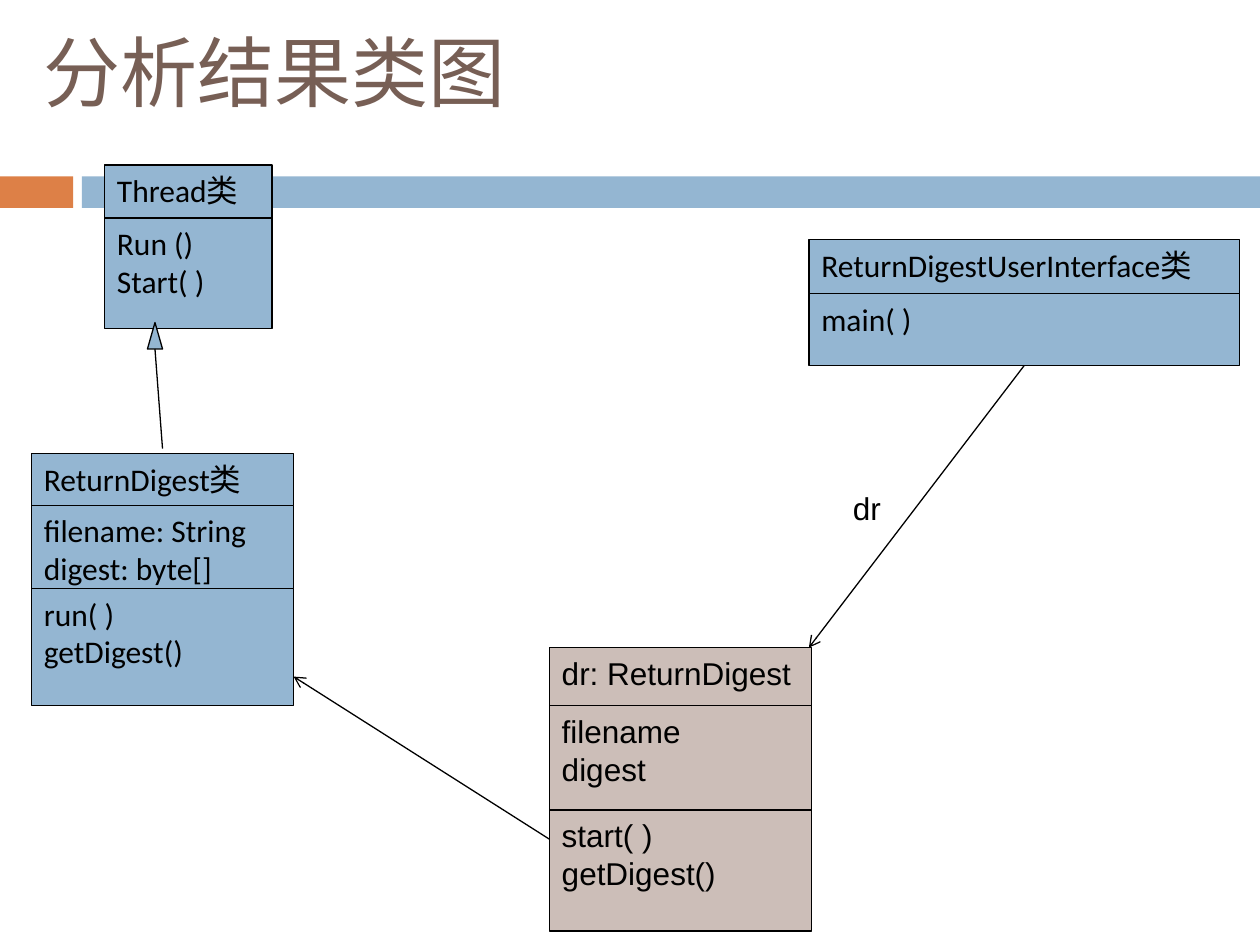
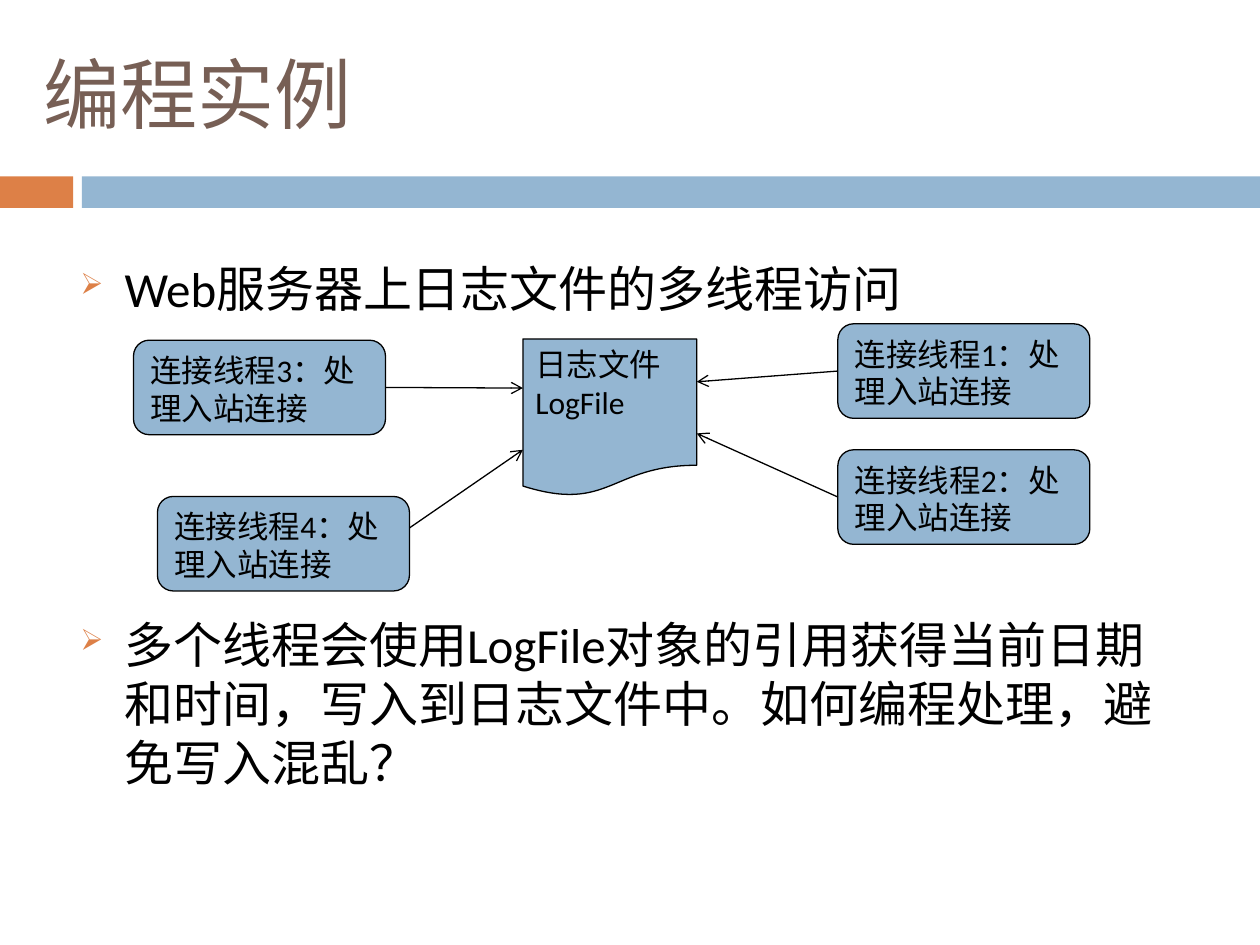
"""Build two slides: a class diagram and a multithreaded log file example."""
from dataclasses import dataclass

from lxml.etree import SubElement
from pptx import Presentation
from pptx.dml.color import RGBColor
from pptx.enum.shapes import MSO_CONNECTOR as Connector, MSO_SHAPE as Shape
from pptx.enum.text import MSO_ANCHOR as Anchor, PP_ALIGN as Align
from pptx.oxml.ns import qn
from pptx.util import Inches, Pt


@dataclass(frozen=True)
class Theme:
    blue: str = "94B6D2"
    orange: str = "DD8047"
    taupe: str = "CCBEB8"
    brown: str = "775F55"
    black: str = "000000"
    font: str = "Calibri"
    object_font: str = "Arial"
    title_size: int = 44
    body_size: int = 28
    label_size: int = 18
    line_width: float = 0.75


theme = Theme()


def place(shapes, kind, bounds, lines=(), fill=None, outlined=True,
          font=theme.font, size=theme.label_size, color=theme.black):
    bounds = [Inches(length) for length in bounds]
    if kind is None:
        box = shapes.add_textbox(*bounds)
    else:
        box = shapes.add_shape(kind, *bounds)
        box.shadow.inherit = False
        box.fill.solid()
        box.fill.fore_color.rgb = RGBColor.from_string(fill)
        if outlined:
            box.line.color.rgb = RGBColor.from_string(theme.black)
            box.line.width = Pt(theme.line_width)
        else:
            box.line.fill.background()
    frame = box.text_frame
    frame.word_wrap = True
    frame.vertical_anchor = Anchor.TOP
    if lines:
        frame.text = "\n".join(lines)
    for para in frame.paragraphs:
        para.alignment = Align.LEFT
        for span in para.runs:
            span.font.name = font
            span.font.size = Pt(size)
            span.font.color.rgb = RGBColor.from_string(color)
    return box


def link(page, start, end, source=None, side=None, arrow=True):
    line = page.shapes.add_connector(
        Connector.STRAIGHT, *[Inches(length) for length in (*start, *end)])
    if source is not None:
        line.begin_connect(source, side)
    line.line.color.rgb = RGBColor.from_string(theme.black)
    line.line.width = Pt(theme.line_width)
    if arrow:
        SubElement(line.line._get_or_add_ln(), qn("a:tailEnd"), type="arrow")
    SubElement(line._element.spPr, qn("a:effectLst"))


deck = Presentation()
deck.slide_width, deck.slide_height = Inches(10), Inches(7.5)

pages = []
for title, title_top in (("分析结果类图", 0.33), ("编程实例", 0.5)):
    page = deck.slides.add_slide(deck.slide_layouts[6])
    for left, width, color in ((0, 0.58, theme.orange), (0.65, 9.35, theme.blue)):
        place(page.shapes, Shape.RECTANGLE, (left, 1.4, width, 0.25),
              fill=color, outlined=False)
    heading = place(page.shapes, None, (0.25, title_top, 9, 0.47), [title],
                    size=theme.title_size, color=theme.brown)
    heading.text_frame.vertical_anchor = Anchor.MIDDLE
    pages.append(page)
class_page, log_page = pages

class_boxes = (
    (6.42, 3.42, (1.9, 2.33, 2.9), theme.blue, theme.font,
     (["ReturnDigestUserInterface类"], ["main( )"])),
    (0.83, 1.33, (1.31, 1.73, 2.61), theme.blue, theme.font,
     (["Thread类"], ["Run ()", "Start( )"])),
    (0.25, 2.08, (3.6, 4.01, 4.67, 5.6), theme.blue, theme.font,
     (["ReturnDigest类"], ["filename: String", "digest: byte[]"],
      ["run( )", "getDigest()"])),
    (4.36, 2.08, (5.14, 5.6, 6.43, 7.39), theme.taupe, theme.object_font,
     (["dr: ReturnDigest"], ["filename", "digest"],
      ["start( )", "getDigest()"])),
)
last_sections = []
for left, width, edges, fill, font, sections in class_boxes:
    group = class_page.shapes.add_group_shape()
    for top, bottom, lines in zip(edges, edges[1:], sections):
        section = place(group.shapes, Shape.RECTANGLE,
                        (left, top, width, bottom - top), lines, fill, font=font)
    last_sections.append(section)

place(class_page.shapes, Shape.ISOSCELES_TRIANGLE, (1.17, 2.56, 0.12, 0.21),
      fill=theme.blue)
link(class_page, (1.23, 2.77), (1.29, 3.56), arrow=False)
link(class_page, (4.36, 6.66), (2.33, 5.37))
link(class_page, (8.13, 2.9), (6.42, 5.14), last_sections[0], 2)
place(class_page.shapes, None, (6.67, 3.83, 0.82, 0.4), ["dr"],
      font=theme.object_font)

body = place(log_page.shapes, None, (0.54, 2, 9, 4.92), [
    "Web服务器上日志文件的多线程访问",
    "多个线程会使用LogFile对象的引用获得当前日期和时间，写入到日志文件中。如何编程处理，避免写入混乱？",
], size=theme.body_size)
for para, gap in zip(body.text_frame.paragraphs, (0, 170)):
    para.space_before = Pt(gap)
    props = para._p.get_or_add_pPr()
    props.set("marL", str(Inches(0.35)))
    props.set("indent", str(-Inches(0.35)))
    bullet_color = SubElement(props, qn("a:buClr"))
    SubElement(bullet_color, qn("a:srgbClr"), val=theme.orange)
    SubElement(props, qn("a:buSzPct"), val="60000")
    SubElement(props, qn("a:buChar"), char="➢")

place(log_page.shapes, Shape.FLOWCHART_DOCUMENT, (4.15, 2.69, 1.38, 1.25),
      ["日志文件", "LogFile"], theme.blue)
threads = (
    (1, 6.65, 2.57, (6.65, 2.94), (5.53, 3.03), 1),
    (2, 6.65, 3.57, (6.65, 3.94), (5.53, 3.44), 1),
    (3, 1.06, 2.7, (3.06, 3.08), (4.15, 3.08), 3),
    (4, 1.25, 3.94, (3.25, 4.19), (4.15, 3.57), None),
)
for number, left, top, start, end, side in threads:
    thread = place(log_page.shapes, Shape.ROUNDED_RECTANGLE, (left, top, 2, 0.75),
                   [f"连接线程{number}：处理入站连接"], theme.blue)
    link(log_page, start, end, None if side is None else thread, side)

deck.save("out.pptx")
